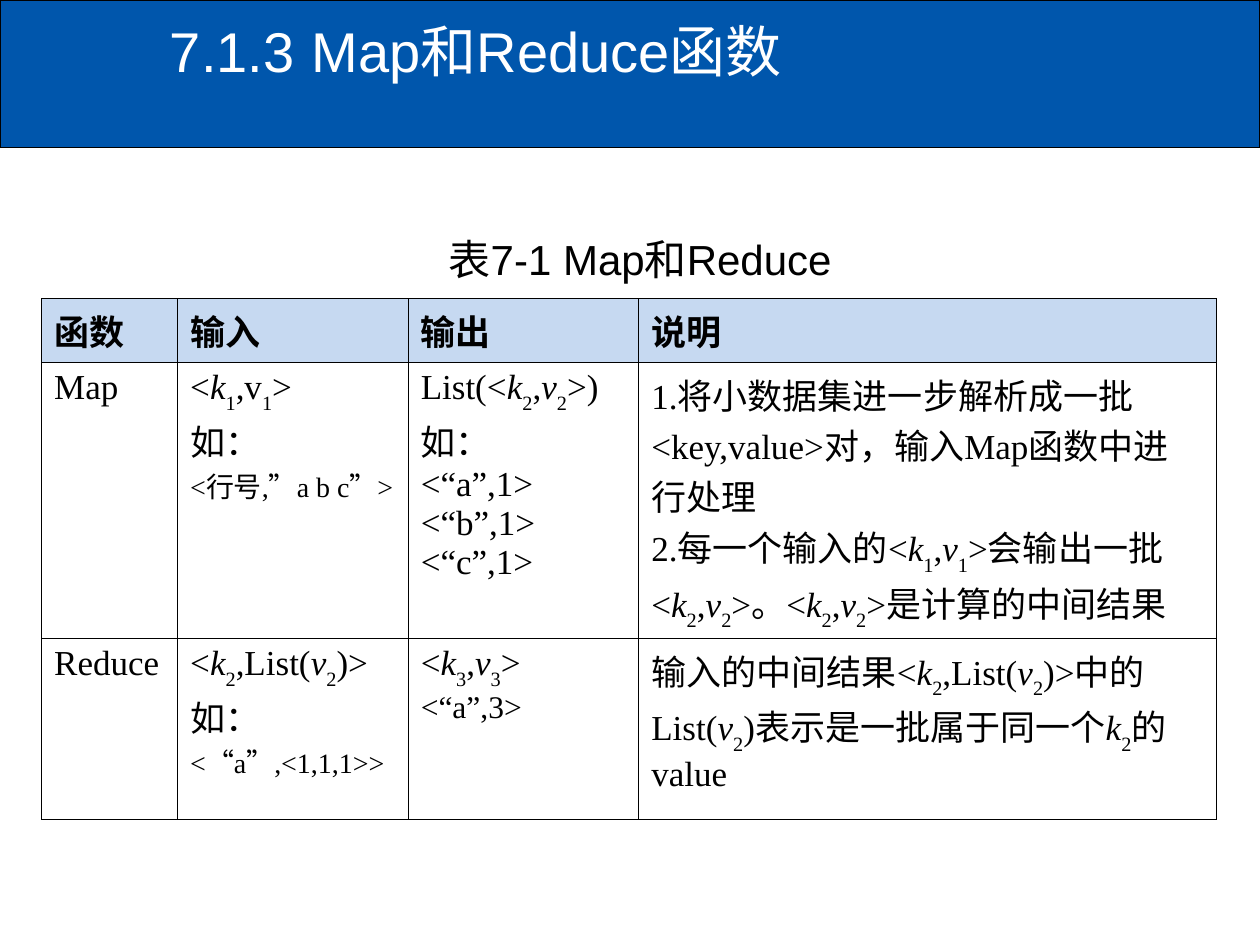
from dataclasses import dataclass

from lxml import etree
from pptx import Presentation
from pptx.dml.color import RGBColor
from pptx.enum.shapes import MSO_SHAPE
from pptx.enum.text import MSO_ANCHOR, MSO_AUTO_SIZE, PP_ALIGN
from pptx.oxml.ns import qn
from pptx.util import Inches, Pt

RECTANGLE = MSO_SHAPE.RECTANGLE
TOP, MIDDLE = MSO_ANCHOR.TOP, MSO_ANCHOR.MIDDLE
LEFT, CENTER = PP_ALIGN.LEFT, PP_ALIGN.CENTER
FIT_SHAPE = MSO_AUTO_SIZE.SHAPE_TO_FIT_TEXT
NO_RESIZE = MSO_AUTO_SIZE.NONE
VARIABLES = ("k", "v")
COLUMN_WIDTHS = (1.08, 1.83, 1.83, 4.58)
ROW_HEIGHTS = (0.43, 1.89, 1.22)


@dataclass(frozen=True)
class Theme:
    """Colours, fonts and type sizes of the slide."""
    banner: str = "0056AC"
    header: str = "C6D9F1"
    ink: str = "000000"
    white: str = "FFFFFF"
    heading_font: str = "Arial"
    table_font: str = "Times New Roman"
    title_size: int = 32
    caption_size: int = 24
    body_size: int = 20
    medium_size: int = 18
    small_size: int = 16
    border_width: float = 0.45
    banner_line: float = 0.75


THEME = Theme()

HEADERS = ("函数", "输入", "输出", "说明")
BODY_ROWS = (
    (
        ["Map"],
        ["<|k|1|,v|1|>", "如：", [("<行号,”a b c”>", THEME.small_size)]],
        ["List(<|k|2|,|v|2|>)", "如：", "<“a”,1>", "<“b”,1>", "<“c”,1>"],
        [
            "1.将小数据集进一步解析成一批<key,value>对，输入Map函数中进行处理",
            "2.每一个输入的<|k|1|,|v|1|>会输出一批<|k|2|,|v|2|>。"
            "<|k|2|,|v|2|>是计算的中间结果",
        ],
    ),
    (
        ["Reduce"],
        [
            "<|k|2|,List(|v|2|)>",
            [("如：", THEME.body_size), ("<“a”,<1,1,1>>", THEME.small_size)],
        ],
        ["<|k|3|,|v|3|>", [("<“a”,3>", THEME.medium_size)]],
        ["输入的中间结果<|k|2|,List(|v|2|)>中的List(|v|2|)表示是一批属于同一个|k|2|的value"],
    ),
)


def add_text(paragraph, text, *, size, font, color, bold=False):
    """Add runs split at bars: variables turn italic, lone digits subscript."""
    for part in text.split("|"):
        run = paragraph.add_run()
        run.text = part
        run.font.size = Pt(size)
        run.font.name = font
        run.font.color.rgb = RGBColor.from_string(color)
        run.font.bold = bold
        run.font.italic = part in VARIABLES
        if part.isdigit():
            run.font._element.set("baseline", "-30000")


class SlideBuilder:
    """Holds the theme and the slide being built."""

    def __init__(self, slide, theme):
        """Keep the slide and its theme."""
        self.slide = slide
        self.theme = theme

    def banner(self, left, top, width, height):
        """Draw the coloured band behind the title."""
        shape = self.slide.shapes.add_shape(
            RECTANGLE, Inches(left), Inches(top), Inches(width), Inches(height))
        shape.shadow.inherit = False
        shape.fill.solid()
        shape.fill.fore_color.rgb = RGBColor.from_string(self.theme.banner)
        shape.line.color.rgb = RGBColor.from_string(self.theme.ink)
        shape.line.width = Pt(self.theme.banner_line)

    def text_box(self, text, left, top, width, height, *, size, color, align=LEFT,
                 anchor=TOP, wrap=True, fit=NO_RESIZE, tab=None):
        """Place one line of heading text."""
        box = self.slide.shapes.add_textbox(
            Inches(left), Inches(top), Inches(width), Inches(height))
        frame = box.text_frame
        frame.word_wrap = wrap
        frame.auto_size = fit
        frame.vertical_anchor = anchor
        paragraph = frame.paragraphs[0]
        paragraph.alignment = align
        if tab is not None:
            tabs = etree.SubElement(paragraph._p.get_or_add_pPr(), qn("a:tabLst"))
            etree.SubElement(tabs, qn("a:tab"), pos=str(Inches(tab)), algn="l")
        add_text(paragraph, text, size=size, font=self.theme.heading_font, color=color)

    def table(self, left, top, column_widths, row_heights, headers, body_rows):
        """Build the bordered table with its header row."""
        table = self.slide.shapes.add_table(
            len(row_heights), len(column_widths), Inches(left), Inches(top),
            Inches(sum(column_widths)), Inches(sum(row_heights))).table
        for column, width in zip(table.columns, column_widths):
            column.width = Inches(width)
        for row, height in zip(table.rows, row_heights):
            row.height = Inches(height)
        for column_index, header in enumerate(headers):
            self.cell(table.cell(0, column_index), [header], header=True)
        for row_index, contents in enumerate(body_rows, start=1):
            for column_index, paragraphs in enumerate(contents):
                self.cell(table.cell(row_index, column_index), paragraphs)

    def cell(self, cell, paragraphs, header=False):
        """Fill, border and write one table cell."""
        self.borders(cell)
        if header:
            cell.fill.solid()
            cell.fill.fore_color.rgb = RGBColor.from_string(self.theme.header)
        else:
            cell.fill.background()
        frame = cell.text_frame
        for index, content in enumerate(paragraphs):
            paragraph = frame.add_paragraph() if index else frame.paragraphs[0]
            if isinstance(content, str):
                content = [(content, self.theme.body_size)]
            for text, size in content:
                add_text(paragraph, text, size=size, font=self.theme.table_font,
                         color=self.theme.ink, bold=header)

    def borders(self, cell):
        """Give a cell a thin line on all four sides."""
        properties = cell._tc.get_or_add_tcPr()
        for side in ("a:lnL", "a:lnR", "a:lnT", "a:lnB"):
            line = etree.SubElement(
                properties, qn(side), w=str(Pt(self.theme.border_width)))
            fill = etree.SubElement(line, qn("a:solidFill"))
            etree.SubElement(fill, qn("a:srgbClr"), val=self.theme.ink)


def main():
    """Build and save the presentation."""
    presentation = Presentation()
    presentation.slide_width = Inches(10)
    presentation.slide_height = Inches(7.5)
    slide = presentation.slides.add_slide(presentation.slide_layouts[6])
    builder = SlideBuilder(slide, THEME)
    builder.banner(0, 0, 10, 1.17)
    builder.text_box("7.1.3\t Map和Reduce函数", 1.25, 0.08, 8.75, 1,
                     size=THEME.title_size, color=THEME.white, tab=1)
    builder.table(0.33, 2.37, COLUMN_WIDTHS, ROW_HEIGHTS, HEADERS, BODY_ROWS)
    builder.text_box("表7-1 Map和Reduce", 3.34, 1.8, 3.48, 0.5,
                     size=THEME.caption_size, color=THEME.ink, align=CENTER,
                     anchor=MIDDLE, wrap=False, fit=FIT_SHAPE)
    presentation.save("out.pptx")


if __name__ == "__main__":
    main()
